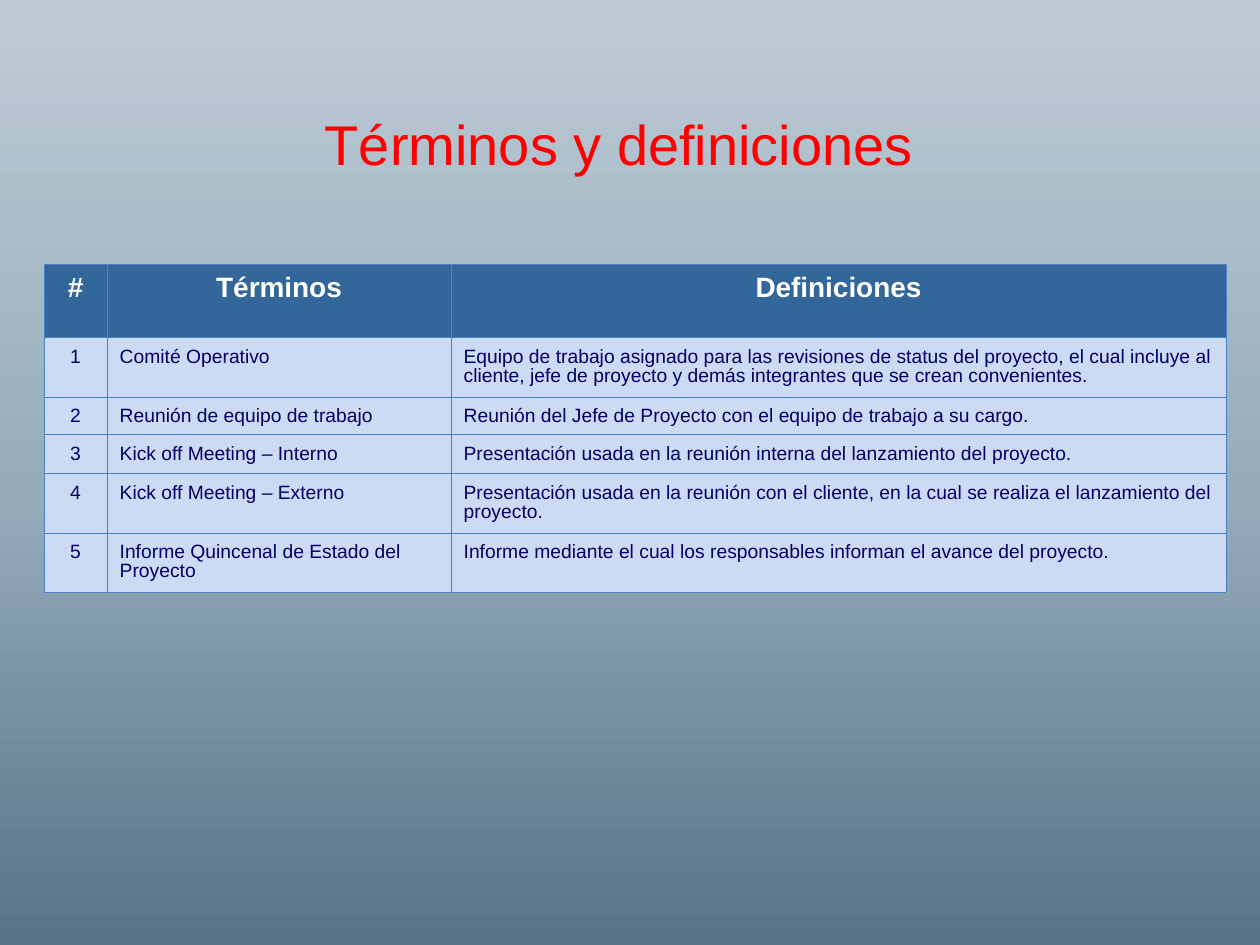
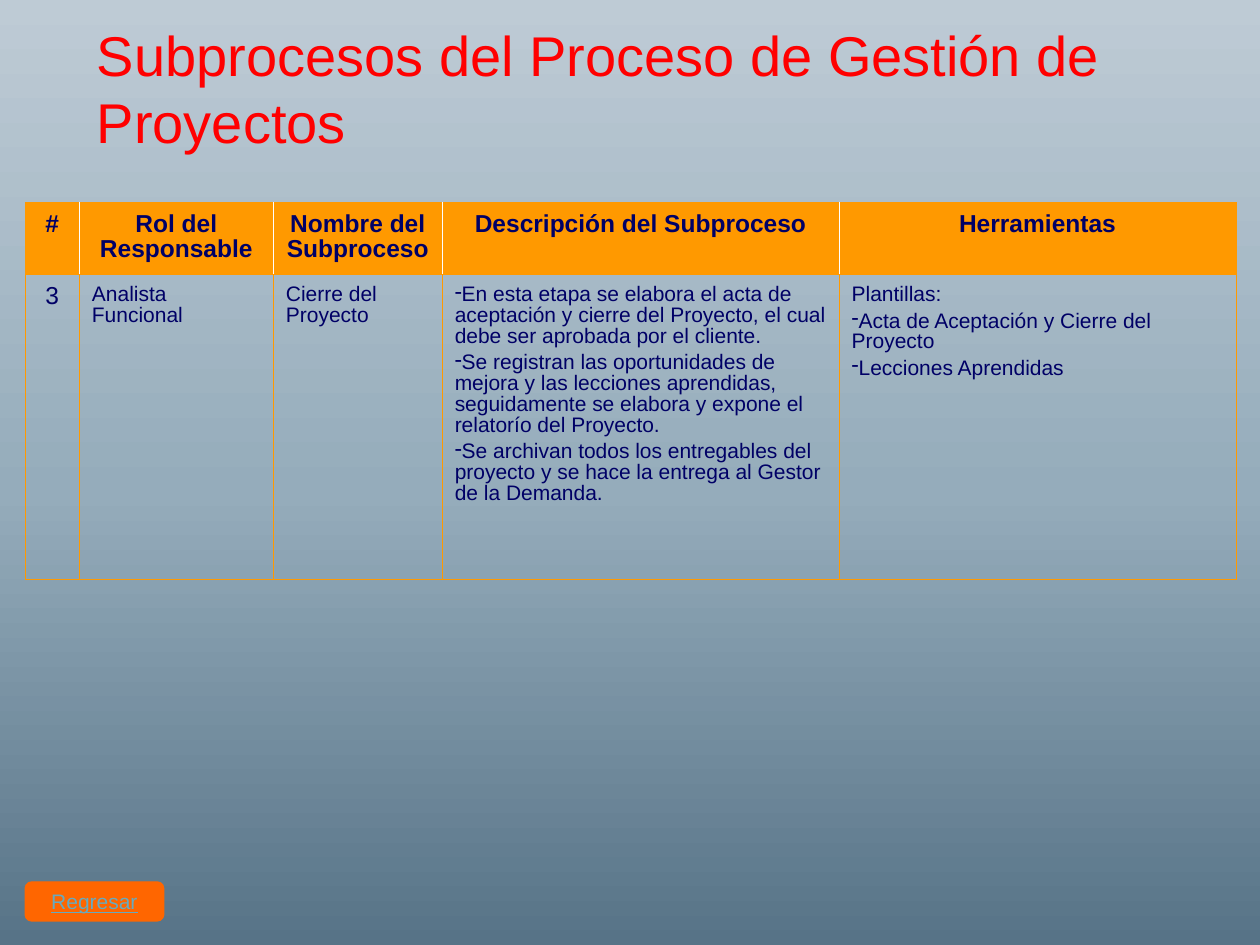
from copy import deepcopy

from pptx import Presentation
from pptx.dml.color import RGBColor
from pptx.enum.shapes import MSO_SHAPE as Shape
from pptx.enum.text import MSO_ANCHOR as Anchor, MSO_AUTO_SIZE as AutoSize, PP_ALIGN as Align
from pptx.oxml import parse_xml
from pptx.oxml.ns import nsdecls, qn
from pptx.util import Inches, Pt

FONT = "Arial"
RED, NAVY, WHITE = "FF0000", "000066", "FFFFFF"
BLUE, PALE_BLUE, BORDER_BLUE = "336699", "CDDAF3", "4782C9"
AMBER, ORANGE, LINK = "FF9900", "FF6600", "67AABF"
BACKGROUND = [(0, "577387"), (0.48, "95ACBB"), (1, "BECBD5")]


def color(hex_string):
    return RGBColor.from_string(hex_string)


def style(paragraph, size, hex_string, bold=False):
    font = paragraph.font
    font.name, font.size, font.bold = FONT, Pt(size), bold
    font.color.rgb = color(hex_string)


presentation = Presentation()
presentation.slide_width, presentation.slide_height = Inches(10), Inches(7.5)

# Grid of 100 columns by 100 rows
COLUMN = presentation.slide_width // 100
ROW = presentation.slide_height // 100

# Shared background: dark at the bottom, light at the top
master = presentation.slide_master
background = master.background.fill
background.gradient()
background.gradient_angle = 90
stop_list = master.element.find(".//" + qn("a:gsLst"))
stop_list.append(deepcopy(stop_list[-1]))
for stop, (position, shade) in zip(background.gradient_stops, BACKGROUND):
    stop.position = position
    stop.color.rgb = color(shade)

# Each table cell is one text, or a list of paragraphs; a leading "-" makes a bullet
slides = [
    {
        "title": "Términos y definiciones",
        "title_box": (24.8, 10.93, 49, 8.53),
        "wrap": False,
        "table_corner": (3.5, 28),
        "columns": [5, 27.3, 61.5],
        "rows": [7.73, 6.27, 4, 4.13, 6.27, 6.27],
        "header": (16, WHITE, BLUE),
        "number_size": 11,
        "body_size": 11,
        "body_fill": PALE_BLUE,
        "border": (BORDER_BLUE, 0.23, 0.23),
        "header_divider": BORDER_BLUE,
        "cells": [
            ["#", "Términos", "Definiciones"],
            ["1", "Comité Operativo",
             "Equipo de trabajo asignado para las revisiones de status del proyecto, el cual "
             "incluye al cliente, jefe de proyecto y demás integrantes que se crean convenientes."],
            ["2", "Reunión de equipo de trabajo",
             "Reunión del Jefe de Proyecto con el equipo de trabajo a su cargo."],
            ["3", "Kick off Meeting – Interno",
             "Presentación usada en la reunión interna del lanzamiento del proyecto."],
            ["4", "Kick off Meeting – Externo",
             "Presentación usada en la reunión con el cliente, en la cual se realiza el "
             "lanzamiento del proyecto."],
            ["5", "Informe Quincenal de Estado del Proyecto",
             "Informe mediante el cual los responsables informan el avance del proyecto."],
        ],
    },
    {
        "title": "Subprocesos del Proceso de Gestión de Proyectos",
        "title_box": (6.7, 1.47, 91.4, 15.73),
        "wrap": True,
        "table_corner": (2, 21.47),
        "columns": [4.3, 15.4, 13.4, 31.5, 31.5],
        "rows": [7.6, 32.27],
        "header": (14, NAVY, AMBER),
        "number_size": 14,
        "body_size": 12,
        "body_fill": None,
        "border": (AMBER, 0.5, 0.34),
        "header_divider": WHITE,
        "cells": [
            ["#", "Rol del Responsable", "Nombre del Subproceso",
             "Descripción del Subproceso", "Herramientas"],
            ["3", "Analista Funcional", "Cierre del Proyecto",
             ["-En esta etapa se elabora el acta de aceptación y cierre del Proyecto, el cual "
              "debe ser aprobada por el cliente.",
              "-Se registran las oportunidades de mejora y las lecciones aprendidas, "
              "seguidamente se elabora y expone el relatorío del Proyecto.",
              "-Se archivan todos los entregables del proyecto y se hace la entrega al Gestor "
              "de la Demanda."],
             ["Plantillas:", "-Acta de Aceptación y Cierre del Proyecto",
              "-Lecciones Aprendidas"]],
        ],
    },
]

for content in slides:
    slide = presentation.slides.add_slide(presentation.slide_layouts[6])

    left, top, width, height = content["title_box"]
    title = slide.shapes.add_textbox(int(left * COLUMN), int(top * ROW),
                                     int(width * COLUMN), int(height * ROW))
    title.text_frame.text = content["title"]
    title.text_frame.word_wrap = content["wrap"]
    title.text_frame.auto_size = AutoSize.SHAPE_TO_FIT_TEXT
    style(title.text_frame.paragraphs[0], 32, RED)

    left, top = content["table_corner"]
    columns, rows = content["columns"], content["rows"]
    table = slide.shapes.add_table(len(rows), len(columns), int(left * COLUMN), int(top * ROW),
                                   int(sum(columns) * COLUMN), int(sum(rows) * ROW)).table
    table.horz_banding = False
    for table_column, share in zip(table.columns, columns):
        table_column.width = int(share * COLUMN)
    for table_row, share in zip(table.rows, rows):
        table_row.height = int(share * ROW)

    header_size, header_color, header_fill = content["header"]
    border_color, outer_width, inner_width = content["border"]
    for row, texts in enumerate(content["cells"]):
        for column, text in enumerate(texts):
            cell = table.cell(row, column)
            cell.margin_top = Pt(6)

            is_outer = {"L": column == 0, "R": column == len(columns) - 1,
                        "T": row == 0, "B": row == len(rows) - 1}
            for side, outer in is_outer.items():
                divider = row == 0 and side in "LR" and not outer
                line_color = content["header_divider"] if divider else border_color
                line_width = int(Pt(outer_width if outer else inner_width))
                cell._tc.get_or_add_tcPr().append(parse_xml(
                    f'<a:ln{side} {nsdecls("a")} w="{line_width}"><a:solidFill>'
                    f'<a:srgbClr val="{line_color}"/></a:solidFill></a:ln{side}>'))

            fill = header_fill if row == 0 else content["body_fill"]
            if fill:
                cell.fill.solid()
                cell.fill.fore_color.rgb = color(fill)
            else:
                cell.fill.background()

            lines = [text] if isinstance(text, str) else text
            cell.text_frame.text = "\n".join(line.removeprefix("-") for line in lines)
            for index, (line, paragraph) in enumerate(zip(lines, cell.text_frame.paragraphs)):
                if line.startswith("-"):
                    properties = paragraph._p.get_or_add_pPr()
                    properties.append(parse_xml(
                        f'<a:buClr {nsdecls("a")}><a:srgbClr val="{NAVY}"/></a:buClr>'))
                    properties.append(parse_xml(f'<a:buChar {nsdecls("a")} char="-"/>'))
                paragraph.line_spacing = 0.89
                if index:
                    paragraph.space_before = Pt(3)
                paragraph.alignment = Align.CENTER if row == 0 or column == 0 else Align.LEFT
                if row == 0:
                    style(paragraph, header_size, header_color, bold=True)
                else:
                    size = content["body_size" if column else "number_size"]
                    style(paragraph, size, NAVY)

# Return button on the last slide
button = slide.shapes.add_shape(Shape.FLOWCHART_ALTERNATE_PROCESS, 2 * COLUMN,
                                int(93.33 * ROW), 11 * COLUMN, int(4.13 * ROW))
button.shadow.inherit = False
button.fill.solid()
button.fill.fore_color.rgb = button.line.color.rgb = color(ORANGE)
button.line.width = Pt(0.75)
button.text_frame.text = "Regresar"
button.text_frame.word_wrap = False
button.text_frame.vertical_anchor = Anchor.MIDDLE
label = button.text_frame.paragraphs[0]
label.alignment = Align.CENTER
style(label, 12, LINK)
label.font.underline = True

presentation.save("out.pptx")
